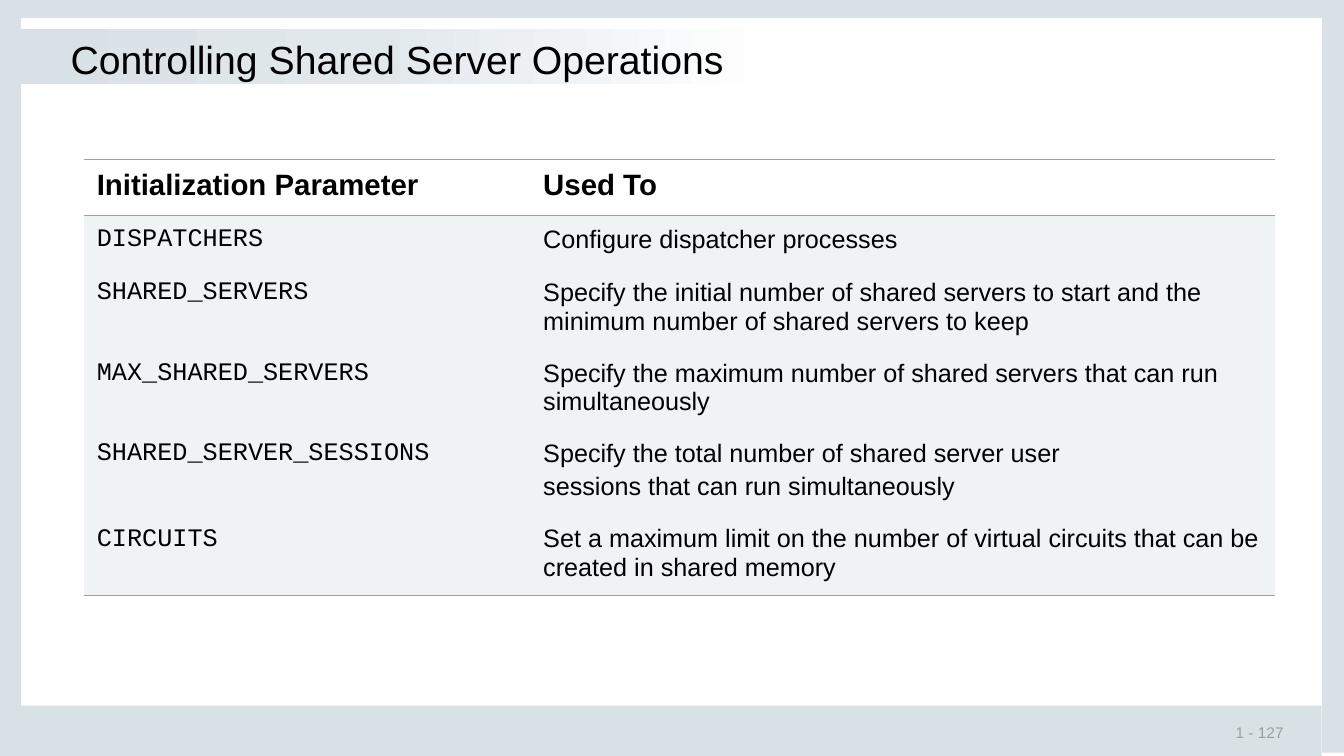
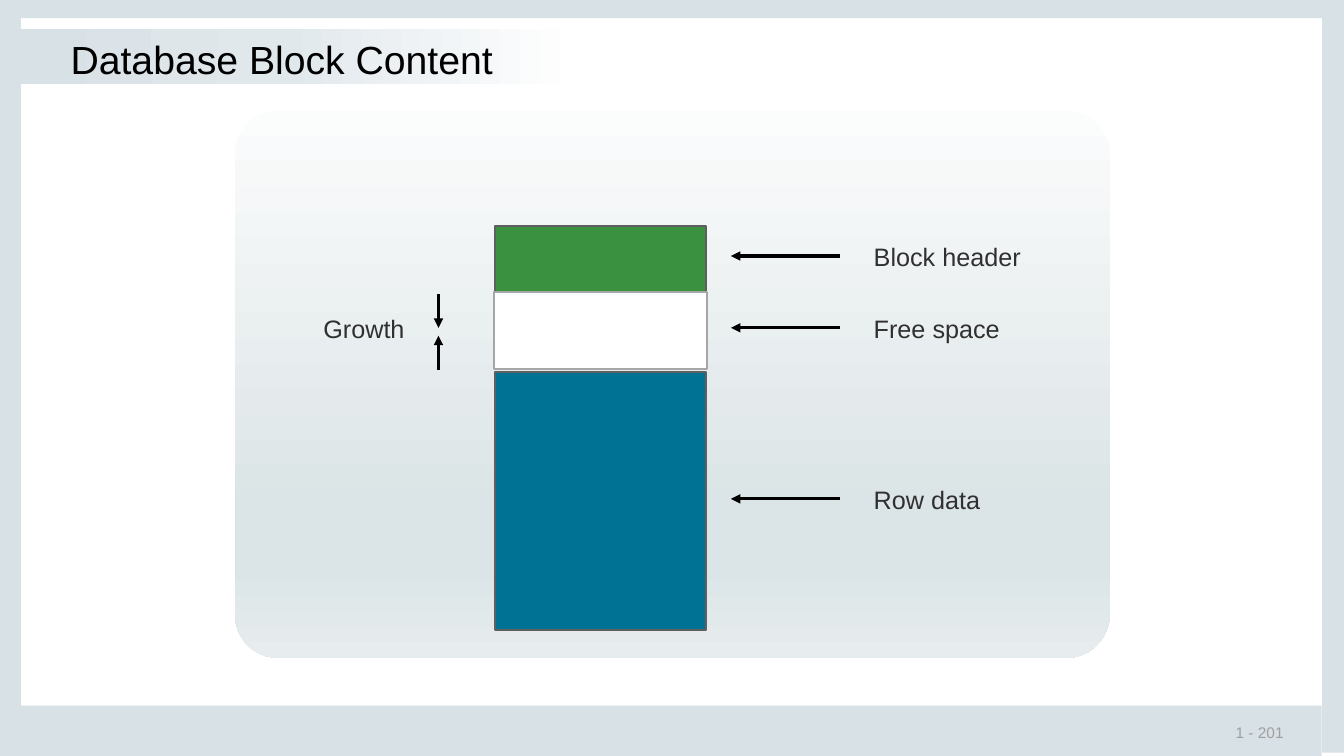
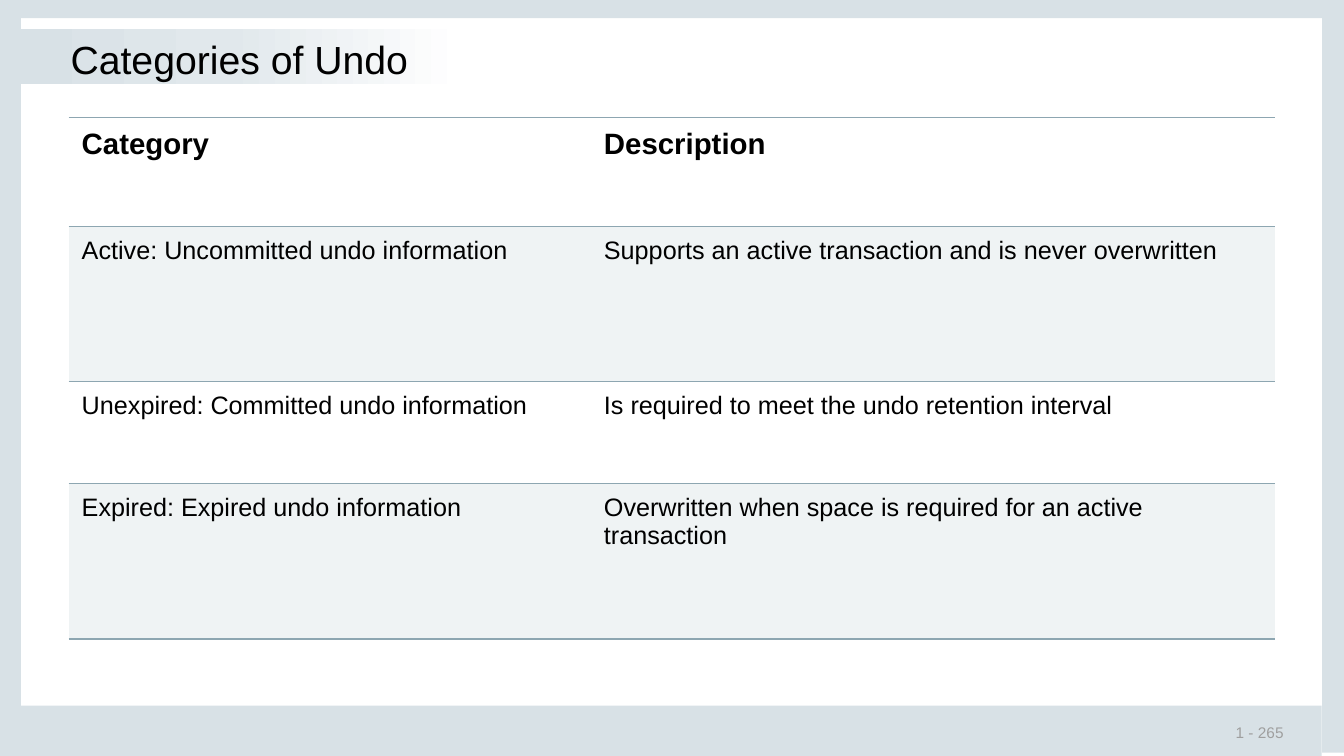
from lxml.etree import SubElement
from pptx import Presentation
from pptx.dml.color import RGBColor
from pptx.enum.shapes import MSO_CONNECTOR, MSO_SHAPE
from pptx.enum.text import MSO_ANCHOR
from pptx.oxml.ns import qn
from pptx.util import Cm, Pt

COLORS = {
    "frame": "D8E1E6",
    "frame_light": "E1E8EC",
    "white": "FFFFFF",
    "black": "000000",
    "page": "9F9F9F",
    "label": "303030",
    "rule": "8DA6B1",
    "row": "EFF3F4",
    "panel_top": "FBFCFC",
    "panel_mid": "DBE4E6",
    "panel_end": "E7EDEE",
    "header": "3A913F",
    "data": "007395",
    "outline": "5F5F5F",
    "free_outline": "A6A6A6",
}
SANS, MONO = "Arial", "Courier New"
NO_GRID = "{2D5ABB26-0587-4C30-8999-92F81FD0307C}"
FRAME = [
    (33.32, 0, 0.55, 18.97),
    (0, 0, 0.53, 18.95),
    (0, 17.78, 33.31, 1.27),
    (0, 0, 33.87, 0.46),
]
TITLE_STOPS = [(0, "frame"), (47, "frame_light"), (100, "white")]
PANEL_STOPS = [(0, "panel_top"), (74, "panel_mid"), (83, "panel_mid"), (100, "panel_end")]


def rgb(name):
    return RGBColor.from_string(COLORS[name])


class Deck:
    def __init__(self):
        self.prs = Presentation()
        self.prs.slide_width, self.prs.slide_height = Cm(33.87), Cm(19.05)
        self.s = None

    def slide(self, title, accent_width, page):
        self.s = self.prs.slides.add_slide(self.prs.slide_layouts[6])
        for box in FRAME:
            self.shape(box, "frame")
        self.text((30.81, 18.21, 3, 0.51), page, 11, "page", (0.33, 0), MSO_ANCHOR.MIDDLE)
        self.gradient((0.5, 0.74, accent_width, 1.37), TITLE_STOPS, 0)
        self.text((1.73, 0.84, 30.4, 1.4), title, 28, "black", (0.05, 0.05))

    def shape(self, box, fill=None, line=None, kind=MSO_SHAPE.RECTANGLE):
        sp = self.s.shapes.add_shape(kind, *map(Cm, box))
        sp.shadow.inherit = False
        if fill:
            sp.fill.solid()
            sp.fill.fore_color.rgb = rgb(fill)
        if line:
            sp.line.color.rgb = rgb(line)
            sp.line.width = Pt(1.5)
        else:
            sp.line.fill.background()
        return sp

    def gradient(self, box, stops, angle, kind=MSO_SHAPE.RECTANGLE):
        sp = self.shape(box, kind=kind)
        sp.fill.gradient()
        sp.fill.gradient_angle = angle
        gs_list = sp._element.spPr.find(qn("a:gradFill")).find(qn("a:gsLst"))
        for gs in list(gs_list):
            gs_list.remove(gs)
        for pos, name in stops:
            gs = SubElement(gs_list, qn("a:gs"), pos=str(pos * 1000))
            SubElement(gs, qn("a:srgbClr"), val=COLORS[name])
        return sp

    def style(self, tf, size, color, font=SANS, bold=False):
        for i, p in enumerate(tf.paragraphs):
            if i:
                p.space_before = Pt(size * 0.2)
            for r in p.runs:
                r.font.name, r.font.size, r.font.bold = font, Pt(size), bold
                r.font.color.rgb = rgb(color)

    def text(self, box, text, size, color, inset=(0.23, 0.13), anchor=MSO_ANCHOR.TOP):
        tf = self.s.shapes.add_textbox(*map(Cm, box)).text_frame
        tf.word_wrap = True
        tf.vertical_anchor = anchor
        tf.margin_left = tf.margin_right = Cm(inset[0])
        tf.margin_top = tf.margin_bottom = Cm(inset[1])
        tf.text = text
        self.style(tf, size, color)

    def arrow(self, x1, y1, x2, y2):
        c = self.s.shapes.add_connector(MSO_CONNECTOR.STRAIGHT, *map(Cm, (x1, y1, x2, y2)))
        c.line.color.rgb = rgb("black")
        c.line.width = Pt(2.25)
        sp_pr = c._element.spPr
        SubElement(sp_pr.find(qn("a:ln")), qn("a:tailEnd"), type="triangle")
        SubElement(sp_pr, qn("a:effectLst"))

    def border(self, cell, side):
        ln = SubElement(cell._tc.get_or_add_tcPr(), qn(f"a:ln{side}"), w=str(Pt(1)))
        SubElement(SubElement(ln, qn("a:solidFill")), qn("a:srgbClr"), val=COLORS["rule"])

    def table(self, left, top, widths, heights, rows, shaded, ruled, first_font=SANS):
        frame = self.s.shapes.add_table(
            len(rows), len(widths), Cm(left), Cm(top), Cm(sum(widths)), Cm(sum(heights)))
        table = frame.table
        table.horz_banding = False
        table._tbl.tblPr.find(qn("a:tableStyleId")).text = NO_GRID
        for column, width in zip(table.columns, widths):
            column.width = Cm(width)
        for i, (row, height) in enumerate(zip(rows, heights)):
            table.rows[i].height = Cm(height)
            for j, text in enumerate(row):
                cell = table.cell(i, j)
                cell.margin_left = cell.margin_right = Cm(0.33)
                cell.margin_top = cell.margin_bottom = Cm(0.25)
                if i == 0:
                    self.border(cell, "T")
                if i in ruled:
                    self.border(cell, "B")
                if i in shaded:
                    cell.fill.solid()
                    cell.fill.fore_color.rgb = rgb("row")
                else:
                    cell.fill.background()
                cell.text_frame.text = text
                font = first_font if i and j == 0 else SANS
                self.style(cell.text_frame, 18 if i else 21, "black", font, i == 0)


def shared_server(deck):
    deck.slide("Controlling Shared Server Operations", 18.95, "1 - 127")
    rows = [
        ("Initialization Parameter", "Used To"),
        ("DISPATCHERS", "Configure dispatcher processes"),
        ("SHARED_SERVERS", "Specify the initial number of shared servers to start and the "
                           "minimum number of shared servers to keep"),
        ("MAX_SHARED_SERVERS", "Specify the maximum number of shared servers that can run "
                               "simultaneously"),
        ("SHARED_SERVER_SESSIONS", "Specify the total number of shared server user\n"
                                   "sessions that can run simultaneously"),
        ("CIRCUITS", "Set a maximum limit on the number of virtual circuits that can be "
                     "created in shared memory"),
    ]
    deck.table(2.11, 4.01, (11.25, 18.77), (1.42, 1.35, 1.93, 1.93, 2.06, 1.93),
               rows, range(1, 6), (0, 5), MONO)


def block_content(deck):
    deck.slide("Database Block Content", 14.1, "1 - 201")
    panel = deck.gradient((5.92, 2.79, 22.05, 13.79), PANEL_STOPS, 270,
                          MSO_SHAPE.ROUNDED_RECTANGLE)
    panel.adjustments[0] = 0.08
    deck.shape((12.47, 5.69, 5.33, 1.73), "header", "outline")
    deck.shape((12.47, 9.37, 5.33, 6.5), "data", "outline")
    deck.shape((12.45, 7.37, 5.36, 1.93), "white", "free_outline")
    for label, y in (("Block header", 6.45), ("Free space", 8.26), ("Row data", 12.57)):
        deck.arrow(21.16, y, 18.42, y)
        deck.text((21.79, y - 0.5, 4.65, 1), label, 18, "label")
    deck.text((7.92, 7.76, 2.7, 1), "Growth", 18, "label")
    for start, end in ((9.32, 8.46), (7.42, 8.26)):
        deck.arrow(11.05, start, 11.05, end)


def undo_categories(deck):
    deck.slide("Categories of Undo", 11.15, "1 - 265")
    rows = [
        ("Category", "Description"),
        ("Active: Uncommitted undo information",
         "Supports an active transaction and is never overwritten"),
        ("Unexpired: Committed undo information",
         "Is required to meet the undo retention interval"),
        ("Expired: Expired undo information",
         "Overwritten when space is required for an active transaction"),
    ]
    deck.table(1.73, 2.97, (13.16, 17.25), (2.74, 3.91, 2.57, 3.91),
               rows, (1, 3), range(4))


def main():
    deck = Deck()
    shared_server(deck)
    block_content(deck)
    undo_categories(deck)
    deck.prs.save("out.pptx")


if __name__ == "__main__":
    main()
